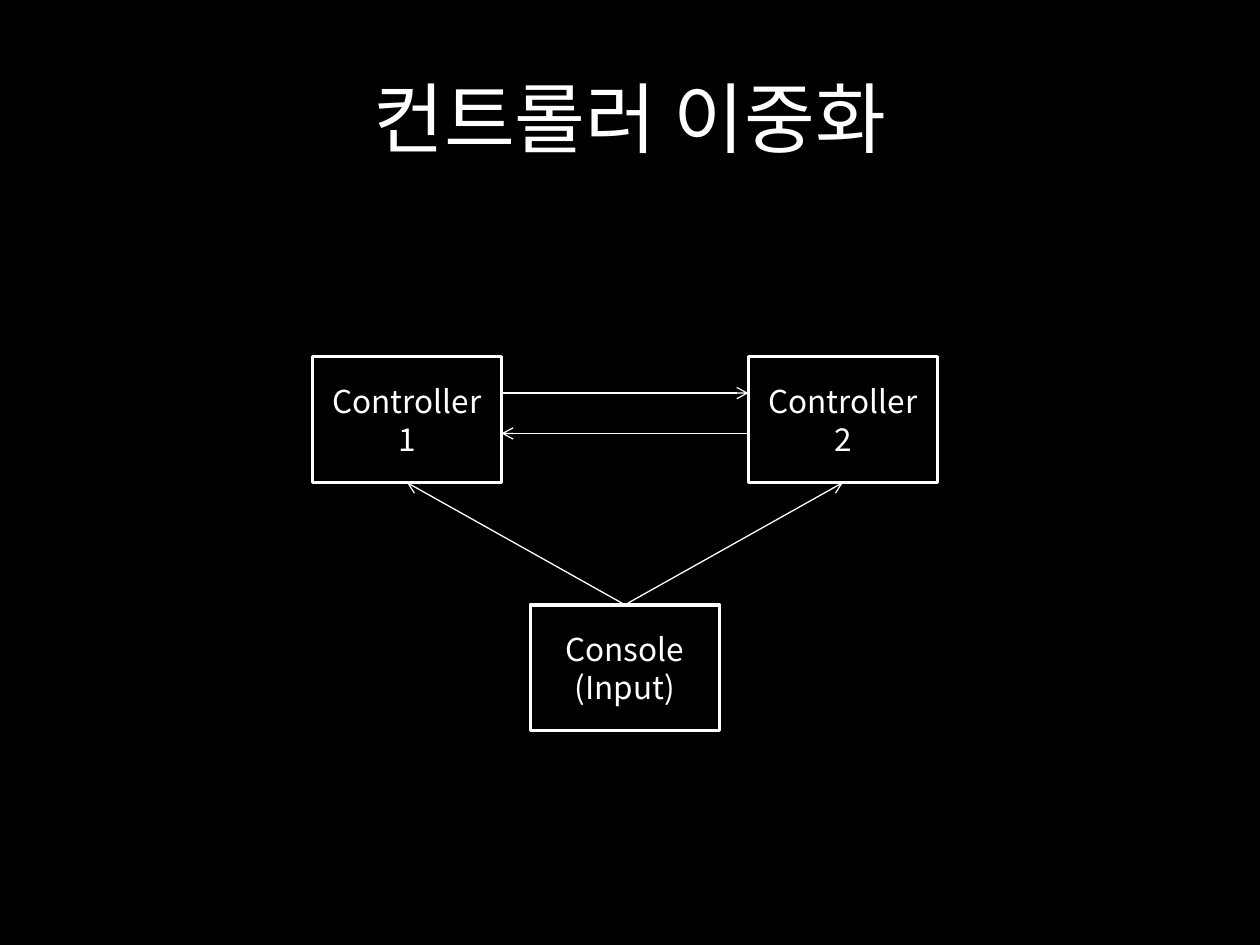
import dataclasses

import lxml.etree
import pptx
import pptx.dml.color
import pptx.enum.shapes
import pptx.enum.text
import pptx.oxml.ns
import pptx.util

Inches = pptx.util.Inches
FONT = "Noto Sans CJK KR"
WHITE, BLACK = "FFFFFF", "000000"
BOX_WIDTH, BOX_HEIGHT = 1.5, 1.0


@dataclasses.dataclass(frozen=True)
class Node:
    left: float
    top: float
    lines: tuple[str, ...]

    @property
    def right(self) -> float:
        return self.left + BOX_WIDTH

    @property
    def center(self) -> float:
        return self.left + BOX_WIDTH / 2

    @property
    def bottom(self) -> float:
        return self.top + BOX_HEIGHT


@dataclasses.dataclass(frozen=True)
class Arrow:
    start: tuple[float, float]
    end: tuple[float, float]


def rgb(color: str) -> pptx.dml.color.RGBColor:
    return pptx.dml.color.RGBColor.from_string(color)


def add_xml(parent, tag: str, **attributes: str) -> None:
    lxml.etree.SubElement(parent, pptx.oxml.ns.qn(tag), **attributes)


def write_lines(frame, lines: tuple[str, ...], size: float) -> None:
    frame.word_wrap = True
    frame.vertical_anchor = pptx.enum.text.MSO_ANCHOR.MIDDLE
    frame.text = "\n".join(lines)
    for paragraph in frame.paragraphs:
        paragraph.alignment = pptx.enum.text.PP_ALIGN.CENTER
        paragraph.font.size = pptx.util.Pt(size)
        paragraph.font.color.rgb = rgb(WHITE)
        paragraph.font.name = FONT
        # Korean text takes the East Asian typeface
        properties = paragraph._p.pPr.find(pptx.oxml.ns.qn("a:defRPr"))
        add_xml(properties, "a:ea", typeface=FONT)


def draw_node(shapes, node: Node) -> None:
    box = shapes.add_shape(
        pptx.enum.shapes.MSO_SHAPE.RECTANGLE,
        Inches(node.left), Inches(node.top), Inches(BOX_WIDTH), Inches(BOX_HEIGHT))
    box.shadow.inherit = False
    box.fill.solid()
    box.fill.fore_color.rgb = rgb(BLACK)
    box.line.color.rgb = rgb(WHITE)
    box.line.width = pptx.util.Pt(2)
    write_lines(box.text_frame, node.lines, 18)


def draw_arrow(shapes, arrow: Arrow) -> None:
    points = [Inches(value) for value in arrow.start + arrow.end]
    line = shapes.add_connector(pptx.enum.shapes.MSO_CONNECTOR.STRAIGHT, *points)
    line.line.color.rgb = rgb(WHITE)
    line.line.width = pptx.util.Pt(0.75)
    add_xml(line.line._get_or_add_ln(), "a:tailEnd", type="arrow")
    add_xml(line._element.spPr, "a:effectLst")


deck = pptx.Presentation()
deck.slide_width, deck.slide_height = Inches(10), Inches(7.5)
page = deck.slides.add_slide(deck.slide_layouts[5])
page.background.fill.solid()
page.background.fill.fore_color.rgb = rgb(BLACK)

# Title
title = page.shapes.title
title.left, title.top = Inches(0.5), Inches(0.3)
title.width, title.height = Inches(9), Inches(1.25)
write_lines(title.text_frame, ("컨트롤러 이중화",), 44)

# Controllers stand side by side, with the console midway below
first = Node(2.48, 2.83, ("Controller 1",))
second = Node(5.94, 2.83, ("Controller 2",))
console = Node((first.left + second.left) / 2, 4.8, ("Console", "(Input)"))
console_top = (console.center, console.top)

arrows = [
    Arrow((first.right, 3.12), (second.left, 3.12)),
    Arrow((second.left, 3.44), (first.right, 3.44)),
    *(Arrow(console_top, (node.center, node.bottom)) for node in (first, second)),
]

# Diagram
diagram = page.shapes.add_group_shape()
for node in (second, console, first):
    draw_node(diagram.shapes, node)
for arrow in arrows:
    draw_arrow(diagram.shapes, arrow)

deck.save("out.pptx")
